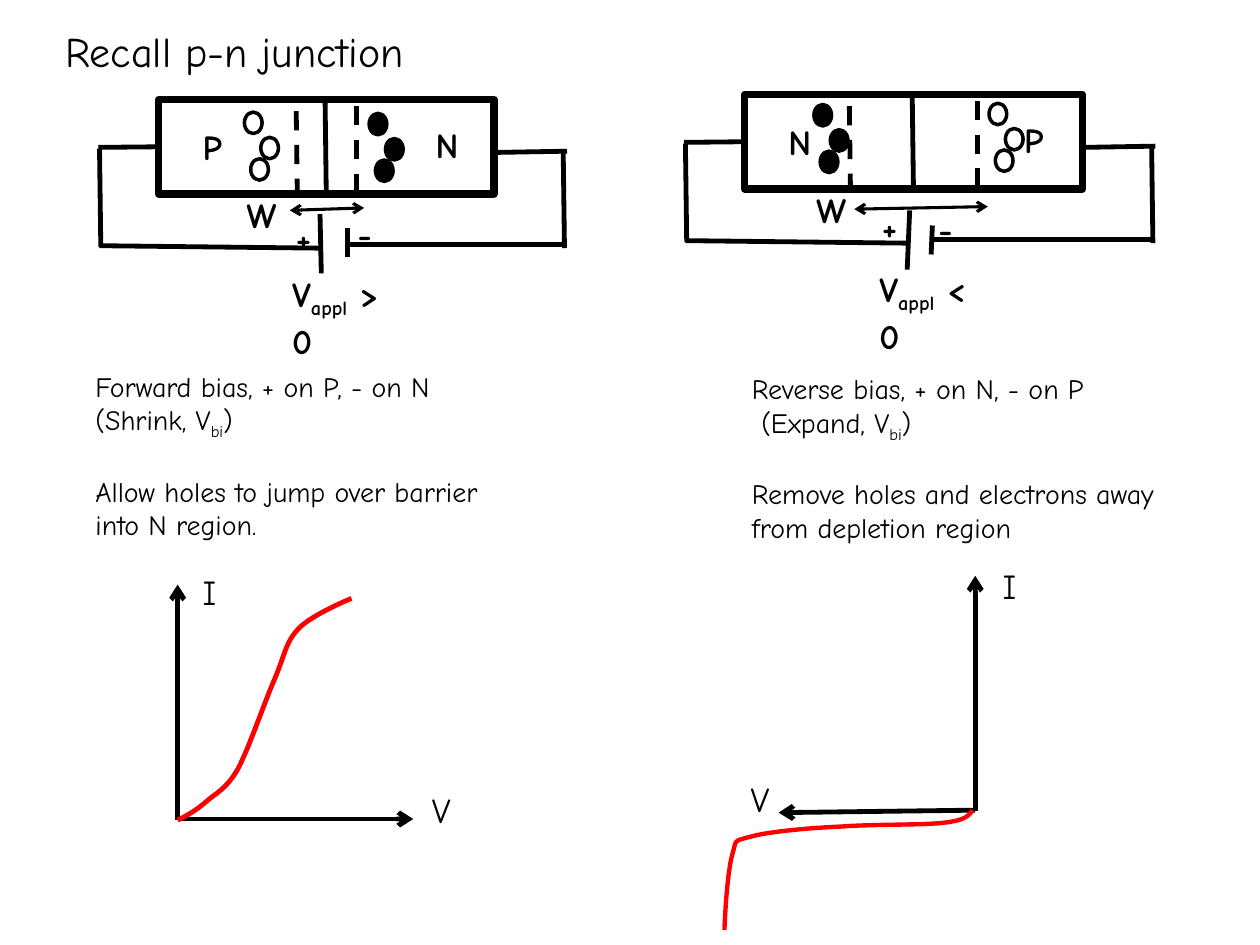
from lxml import etree
from pptx import Presentation
from pptx.dml.color import RGBColor
from pptx.enum.dml import MSO_LINE
from pptx.enum.shapes import MSO_CONNECTOR as CONNECTOR, MSO_SHAPE as SHAPE
from pptx.enum.text import MSO_ANCHOR as ANCHOR
from pptx.oxml.ns import qn
from pptx.util import Inches, Pt

COLORS = {"ink": "000000", "paper": "FFFFFF", "curve": "FF0000"}
FONT = "Comic Neue"


def rgb(name):
    return RGBColor.from_string(COLORS[name])


def add_line(shapes, start, end, width=2.75, dashed=False, arrows=()):
    line = shapes.add_connector(CONNECTOR.STRAIGHT, *map(Inches, start + end))
    line.line.color.rgb = rgb("ink")
    line.line.width = Pt(width)
    if dashed:
        line.line.dash_style = MSO_LINE.DASH
    outline = line.line._get_or_add_ln()
    for arrow_end in arrows:
        etree.SubElement(outline, qn(f"a:{arrow_end}")).set("type", "arrow")
    etree.SubElement(line._element.spPr, qn("a:effectLst"))
    return line


def add_preset(shapes, kind, box, fill, width):
    shape = shapes.add_shape(kind, *map(Inches, box))
    shape.shadow.inherit = False
    shape.fill.solid()
    shape.fill.fore_color.rgb = rgb(fill)
    shape.line.color.rgb = rgb("ink")
    shape.line.width = Pt(width)
    return shape


def add_text(shapes, box, lines, size=20, bold=False, gap_before=None):
    """Each line is a list of runs; every second run is a subscript."""
    frame = shapes.add_textbox(*map(Inches, box)).text_frame
    frame.word_wrap = True
    for i, runs in enumerate(lines):
        paragraph = frame.paragraphs[0] if i == 0 else frame.add_paragraph()
        if i == gap_before:
            paragraph.space_before = Pt(19)
        for j, text in enumerate(runs):
            run = paragraph.add_run()
            run.text = text
            if j % 2:
                run._r.get_or_add_rPr().set("baseline", "-25000")
        font = paragraph.font
        font.name, font.size, font.bold = FONT, Pt(size), bold
        font.color.rgb = rgb("ink")
    return frame


def add_circuit(slide, box, edges, span, plates, labels):
    """Biased junction; edges and span are x offsets of the depletion region."""
    left, top, width, height = box
    shapes = slide.shapes.add_group_shape().shapes

    def at(x, y):
        return left + x, top + y

    slab = add_preset(shapes, SHAPE.RECTANGLE, box, "paper", 4.25)

    # Wires around the battery
    lead = add_line(shapes, at(-0.48, 0.38), at(0, height / 2))
    lead.end_connect(slab, 1)
    wires = [
        ((-0.47, 1.16), (1.3, 1.18)),
        ((1.49, 1.15), (width + 0.56, 1.15)),
        ((-0.46, 1.17), (-0.47, 0.39)),
        ((width + 0.56, 1.18), (width + 0.55, 0.4)),
        ((width + 0.01, 0.42), (width + 0.58, 0.41)),
        ((width / 2, 0.77), (width / 2 - 0.01, 0)),  # junction
    ]
    for start, end in wires + plates:
        add_line(shapes, at(*start), at(*end))

    # Depletion region and its width
    add_line(shapes, at(edges[0], 0.78), at(edges[0] - 0.01, 0.01), dashed=True)
    add_line(shapes, at(edges[1], 0.74), at(edges[1], 0.03), dashed=True)
    add_line(shapes, at(*span[0]), at(*span[1]), 1.75, arrows=("headEnd", "tailEnd"))

    for runs, x, y, label_width in labels:
        add_text(shapes, (*at(x, y), label_width, 0.44), [runs], bold=True)


def add_carriers(slide, left, top, fill):
    shapes = slide.shapes.add_group_shape().shapes
    for x, y in ((0, 0), (0.13, 0.2), (0.05, 0.37)):
        add_preset(shapes, SHAPE.OVAL, (left + x, top + y, 0.14, 0.17), fill, 2)


def bezier(points, steps=12):
    """Points along a chain of cubic curves."""
    path = [points[0]]
    for i in range(0, len(points) - 1, 3):
        a, b, c, d = points[i:i + 4]
        for step in range(1, steps + 1):
            t = step / steps
            path.append(tuple(
                (1 - t) ** 3 * p + 3 * (1 - t) ** 2 * t * q + 3 * (1 - t) * t * t * r + t ** 3 * s
                for p, q, r, s in zip(a, b, c, d)))
    return path


def add_iv_plot(slide, origin, v_end, curve, curve_width, i_label, v_label):
    x0, y0 = origin
    shapes = slide.shapes.add_group_shape().shapes
    add_line(shapes, (x0, y0 + 0.01), (x0, y0 - 1.86), arrows=("tailEnd",))
    add_line(shapes, origin, (x0 + v_end[0], y0 + v_end[1]), arrows=("tailEnd",))

    path = [(Inches(x0 + x), Inches(y0 + y)) for x, y in bezier(curve)]
    builder = shapes.build_freeform(*path[0])
    builder.add_line_segments(path[1:], close=False)
    current = builder.convert_to_shape()
    current.shadow.inherit = False
    current.fill.background()
    current.line.color.rgb = rgb("curve")
    current.line.width = Pt(curve_width)

    for name, (x, y) in (("I", i_label), ("V", v_label)):
        add_text(shapes, (x0 + x, y0 + y, 0.38, 0.44), [[name]])


def main():
    deck = Presentation()
    deck.slide_width, deck.slide_height = Inches(10), Inches(7.5)
    slide = deck.slides.add_slide(deck.slide_layouts[6])

    # Junction under forward and reverse bias
    add_circuit(
        slide, (1.26, 0.79, 2.66, 0.75), edges=(1.1, 1.57),
        span=((1.04, 0.88), (1.63, 0.86)),
        plates=[((1.29, 1.38), (1.28, 0.91)), ((1.5, 1.25), (1.5, 1.02))],
        labels=[(["P"], 0.25, 0.16, 0.27), (["N"], 2.1, 0.14, 0.33),
                (["W"], 0.6, 0.7, 0.37), (["V", "appl", " > 0"], 0.96, 1.32, 1.01),
                (["-"], 1.48, 0.85, 0.28), (["+"], 0.99, 0.88, 0.28)])
    add_circuit(
        slide, (5.91, 0.75, 2.68, 0.75), edges=(0.84, 1.85),
        span=((1.93, 0.89), (0.87, 0.91)),
        plates=[((1.29, 1.39), (1.31, 0.92)), ((1.48, 1.27), (1.49, 1.04))],
        labels=[(["N"], 0.25, 0.16, 0.43), (["P"], 2.12, 0.14, 0.35),
                (["W"], 0.47, 0.7, 0.38), (["V", "appl", " < 0"], 0.97, 1.32, 1.01),
                (["-"], 1.44, 0.85, 0.3), (["+"], 0.99, 0.83, 0.34)])

    # Explanations
    add_text(slide.shapes, (0.66, 2.88, 3.77, 1.45), [
        ["Forward bias, + on P, - on N"], ["(Shrink, V", "bi", ")"],
        ["Allow holes to jump over barrier"], ["into N region."]], 16, gap_before=2)
    add_text(slide.shapes, (5.87, 2.9, 3.64, 1.45), [
        ["Reverse bias, + on N, - on P"], [" (Expand, V", "bi", ")"],
        ["Remove holes and electrons away"], ["from depletion region"]], 16, gap_before=2)

    # Current against voltage
    add_iv_plot(
        slide, (1.41, 6.5), (1.87, 0),
        [(0, 0.01), (0.08, -0.03), (0.15, -0.07), (0.23, -0.14),
         (0.31, -0.21), (0.39, -0.24), (0.48, -0.4),
         (0.57, -0.57), (0.69, -0.93), (0.77, -1.11),
         (0.85, -1.3), (0.86, -1.41), (0.96, -1.51),
         (1.06, -1.62), (1.38, -1.75), (1.38, -1.75)],
        2.75, i_label=(0.1, -2.02), v_label=(1.92, -0.29))
    add_iv_plot(
        slide, (7.74, 6.43), (-1.56, 0.02),
        [(-0.02, 0), (-0.05, 0.04), (-0.07, 0.08), (-0.25, 0.1),
         (-0.42, 0.12), (-0.8, 0.11), (-1.06, 0.13),
         (-1.31, 0.14), (-1.64, 0.17), (-1.78, 0.21),
         (-1.93, 0.25), (-1.89, 0.23), (-1.93, 0.36),
         (-1.96, 0.48), (-1.98, 0.71), (-1.99, 0.95)],
        2.5, i_label=(0.12, -2), v_label=(-1.88, -0.31))

    # Holes are open, electrons filled
    add_carriers(slide, 1.94, 0.89, "paper")
    add_carriers(slide, 2.93, 0.9, "ink")
    add_carriers(slide, 6.46, 0.83, "ink")
    add_carriers(slide, 7.85, 0.82, "paper")

    # Title
    title = add_text(slide.shapes, (0.42, 0.17, 3.62, 0.47), [["Recall p-n junction"]], 24)
    title.vertical_anchor = ANCHOR.MIDDLE

    deck.save("out.pptx")


if __name__ == "__main__":
    main()
